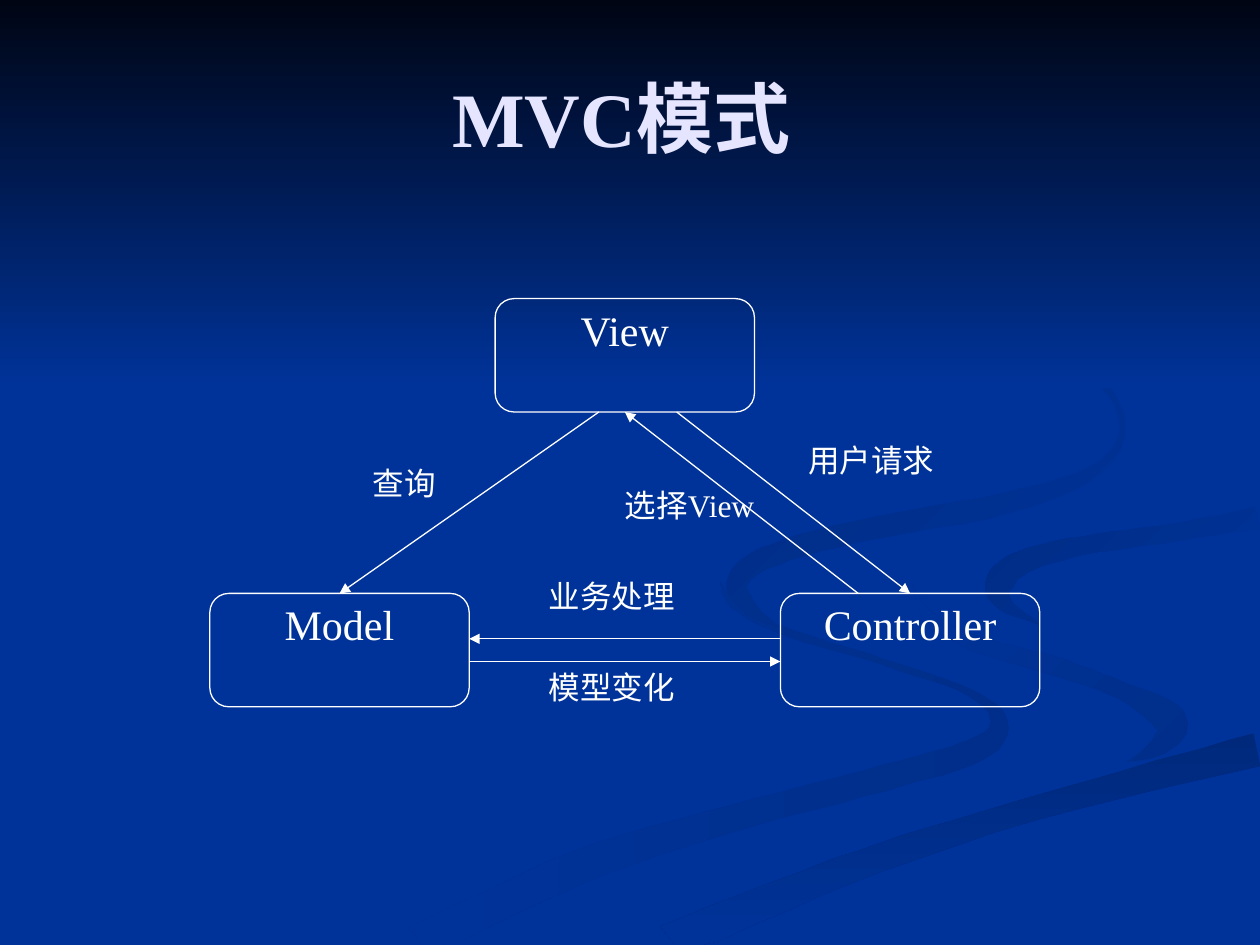
from dataclasses import dataclass
from math import hypot

from lxml.etree import SubElement
from pptx import Presentation
from pptx.dml.color import RGBColor
from pptx.enum.shapes import MSO_CONNECTOR, MSO_SHAPE
from pptx.enum.text import MSO_ANCHOR, PP_ALIGN
from pptx.oxml.ns import qn
from pptx.util import Inches, Pt


@dataclass(frozen=True)
class Theme:
    font: str = "Times New Roman"
    background: str = "003399"
    night: str = "000514"
    title: str = "E5E5FF"
    ink: str = "FFFFFF"
    title_size: int = 44
    box_size: int = 24
    label_size: int = 18
    line_width: float = 0.75


@dataclass(frozen=True)
class Ribbon:
    """A band along a smooth line; each knot is x, y and band width in inches."""
    knots: list
    first: str
    last: str
    angle: int


THEME = Theme()
SLIDE_WIDTH, SLIDE_HEIGHT = 10, 7.5
SKY_HEIGHT = 3.08
UNITS_PER_INCH = 100
STEPS_PER_KNOT = 6

# The diagram grid: a row of text is 12 columns wide and a box is 5 rows high.
LEFT, TOP = 1.46, 2.37
COLUMN, ROW = 2.47 / 12, 0.9 / 5
BOX_SPAN = (10, 5)
LABEL_SPAN = (7, 3)
TOP_MIDDLE, BOTTOM_MIDDLE = (5, 0), (5, 5)
CONNECTION_SITES = {TOP_MIDDLE: 0, BOTTOM_MIDDLE: 2}

RIBBONS = {
    "lower swirl": Ribbon(
        [(5.72, 4.62, 0), (5.82, 4.8, 0.05), (6.2, 5, 0.06), (7, 5.25, 0.05),
         (7.7, 5.5, 0.06), (7.93, 5.73, 0.14), (7.75, 5.95, 0.2), (7, 6.18, 0.2),
         (5.8, 6.5, 0.21), (4.6, 6.88, 0.26), (3.3, 7.49, 0.28)],
        "002E8A", THEME.background, 180),
    "right hook": Ribbon(
        [(7.24, 4.64, 0), (7.38, 4.9, 0.08), (7.75, 5.11, 0.12), (8.35, 5.28, 0.14),
         (8.9, 5.48, 0.14), (9.29, 5.72, 0.26), (9.2, 5.92, 0.15), (8.94, 6.05, 0)],
        "002E8A", THEME.background, 135),
    "bottom sweep": Ribbon(
        [(5.3, 7.49, 0.3), (6.1, 7.15, 0.25), (7, 6.8, 0.22), (8.3, 6.39, 0.19),
         (9.98, 5.95, 0.27)],
        "00297C", THEME.background, 270),
    "right sweep": Ribbon(
        [(8.26, 4.96, 0), (7.98, 4.8, 0.12), (7.93, 4.63, 0.22), (8.12, 4.46, 0.18),
         (8.6, 4.33, 0.15), (9.3, 4.23, 0.14), (9.98, 4.11, 0.18)],
        THEME.background, "002C85", 135),
    "upper swirl": Ribbon(
        [(7.62, 2.33, 0), (8.3, 2.68, 0.04), (8.75, 3.04, 0.05), (8.91, 3.4, 0.05),
         (8.7, 3.73, 0.1), (8, 3.99, 0.17), (6.8, 4.22, 0.17), (6.07, 4.43, 0.17),
         (5.85, 4.63, 0.16), (5.97, 4.84, 0.1), (6.22, 5, 0)],
        THEME.background, "002B81", 135),
}

# The grid cell of each top left corner.
BOXES = {"View": (12, 0), "Model": (1, 13), "Controller": (23, 13)}
LABELS = {
    "用户请求": (23, 6),
    "选择View": (16, 8),
    "查询": (5, 7),
    "业务处理": (13, 12),
    "模型变化": (13, 16),
}
# Each end is a box and the columns and rows from its top left corner.
ARROWS = [
    (("View", (4, 5)), ("Model", TOP_MIDDLE)),
    (("View", (7, 5)), ("Controller", TOP_MIDDLE)),
    (("Controller", (3, 0)), ("View", BOTTOM_MIDDLE)),
    (("Controller", (0, 2)), ("Model", (10, 2))),
    (("Model", (10, 3)), ("Controller", (0, 3))),
]


def rgb(color):
    return RGBColor.from_string(color)


def point(cell, offset=(0, 0)):
    column, row = (start + step for start, step in zip(cell, offset))
    return Inches(LEFT + column * COLUMN), Inches(TOP + row * ROW)


def extent(span):
    columns, rows = span
    return Inches(columns * COLUMN), Inches(rows * ROW)


def smooth(knots):
    """Return points on the Catmull-Rom curve through the knots."""
    padded = [knots[0], *knots, knots[-1]]
    curve = []
    for section in zip(padded, padded[1:], padded[2:], padded[3:]):
        for step in range(STEPS_PER_KNOT):
            t = step / STEPS_PER_KNOT
            curve.append(tuple(
                b + t * (c - a) / 2 + t**2 * (a - 2.5 * b + 2 * c - d / 2)
                + t**3 * (3 * (b - c) + d - a) / 2
                for a, b, c, d in zip(*section)))
    return curve + [knots[-1]]


def ribbon_outline(knots):
    """Go along one edge of the band and back along the other, within the slide."""
    curve = smooth(knots)
    edges = [], []
    for before, (x, y, width), after in zip([curve[0], *curve], curve, [*curve[1:], curve[-1]]):
        along_x, along_y = after[0] - before[0], after[1] - before[1]
        reach = width / 2 / hypot(along_x, along_y)
        for edge, side in zip(edges, (reach, -reach)):
            edge.append((min(x - side * along_y, SLIDE_WIDTH),
                         min(y + side * along_x, SLIDE_HEIGHT)))
    return edges[0] + edges[1][::-1]


def paint_gradient(shape, first, last, angle):
    shape.shadow.inherit = False
    shape.line.fill.background()
    shape.fill.gradient()
    shape.fill.gradient_angle = angle
    for stop, color, position in zip(shape.fill.gradient_stops, (first, last), (0, 1)):
        stop.color.rgb = rgb(color)
        stop.position = position


def add_ribbon(slide, ribbon):
    outline = [(round(x * UNITS_PER_INCH), round(y * UNITS_PER_INCH))
               for x, y in ribbon_outline(ribbon.knots)]
    builder = slide.shapes.build_freeform(*outline[0], scale=Inches(1) / UNITS_PER_INCH)
    builder.add_line_segments(outline[1:], close=True)
    paint_gradient(builder.convert_to_shape(), ribbon.first, ribbon.last, ribbon.angle)


def add_sky(slide):
    sky = slide.shapes.add_shape(
        MSO_SHAPE.RECTANGLE, 0, 0, Inches(SLIDE_WIDTH), Inches(SKY_HEIGHT))
    paint_gradient(sky, THEME.night, THEME.background, 270)


def write(shape, text, size, color=THEME.ink, bold=False, anchor=MSO_ANCHOR.TOP):
    frame = shape.text_frame
    frame.text = text
    frame.word_wrap = True
    frame.vertical_anchor = anchor
    paragraph = frame.paragraphs[0]
    paragraph.alignment = PP_ALIGN.CENTER
    font = paragraph.runs[0].font
    font.name, font.size, font.bold = THEME.font, Pt(size), bold
    font.color.rgb = rgb(color)


def set_title(slide, text):
    """Fill the title and bring it in front of the backdrop."""
    title = slide.shapes.title
    title.left, title.top = Inches(0.5), Inches(0.3)
    title.width, title.height = Inches(9), Inches(1.25)
    write(title, text, THEME.title_size, THEME.title, True, MSO_ANCHOR.MIDDLE)
    title.element.getparent().append(title.element)


def draw_line(line):
    line.color.rgb = rgb(THEME.ink)
    line.width = Pt(THEME.line_width)


def add_box(slide, text, cell):
    box = slide.shapes.add_shape(
        MSO_SHAPE.FLOWCHART_ALTERNATE_PROCESS, *point(cell), *extent(BOX_SPAN))
    box.shadow.inherit = False
    box.fill.background()
    draw_line(box.line)
    write(box, text, THEME.box_size)
    box.text_frame.margin_top = 0
    return box


def add_label(slide, text, cell):
    write(slide.shapes.add_textbox(*point(cell), *extent(LABEL_SPAN)), text, THEME.label_size)


def add_arrow(slide, boxes, start, end):
    """Draw from box to box, joined where the arrow ends at the middle of a side."""
    (source, leaving), (target, arriving) = start, end
    arrow = slide.shapes.add_connector(
        MSO_CONNECTOR.STRAIGHT, *point(BOXES[source], leaving), *point(BOXES[target], arriving))
    if arriving in CONNECTION_SITES:
        arrow.end_connect(boxes[target], CONNECTION_SITES[arriving])
    draw_line(arrow.line)
    SubElement(arrow.line._get_or_add_ln(), qn("a:tailEnd"), type="triangle")
    SubElement(arrow.element.spPr, qn("a:effectLst"))


def main():
    presentation = Presentation()
    presentation.slide_width, presentation.slide_height = Inches(SLIDE_WIDTH), Inches(SLIDE_HEIGHT)
    slide = presentation.slides.add_slide(presentation.slide_layouts[5])
    slide.background.fill.solid()
    slide.background.fill.fore_color.rgb = rgb(THEME.background)
    for ribbon in RIBBONS.values():
        add_ribbon(slide, ribbon)
    add_sky(slide)
    set_title(slide, "MVC模式 ")
    boxes = {name: add_box(slide, name, cell) for name, cell in BOXES.items()}
    for start, end in ARROWS:
        add_arrow(slide, boxes, start, end)
    for text, cell in LABELS.items():
        add_label(slide, text, cell)
    presentation.save("out.pptx")


if __name__ == "__main__":
    main()
